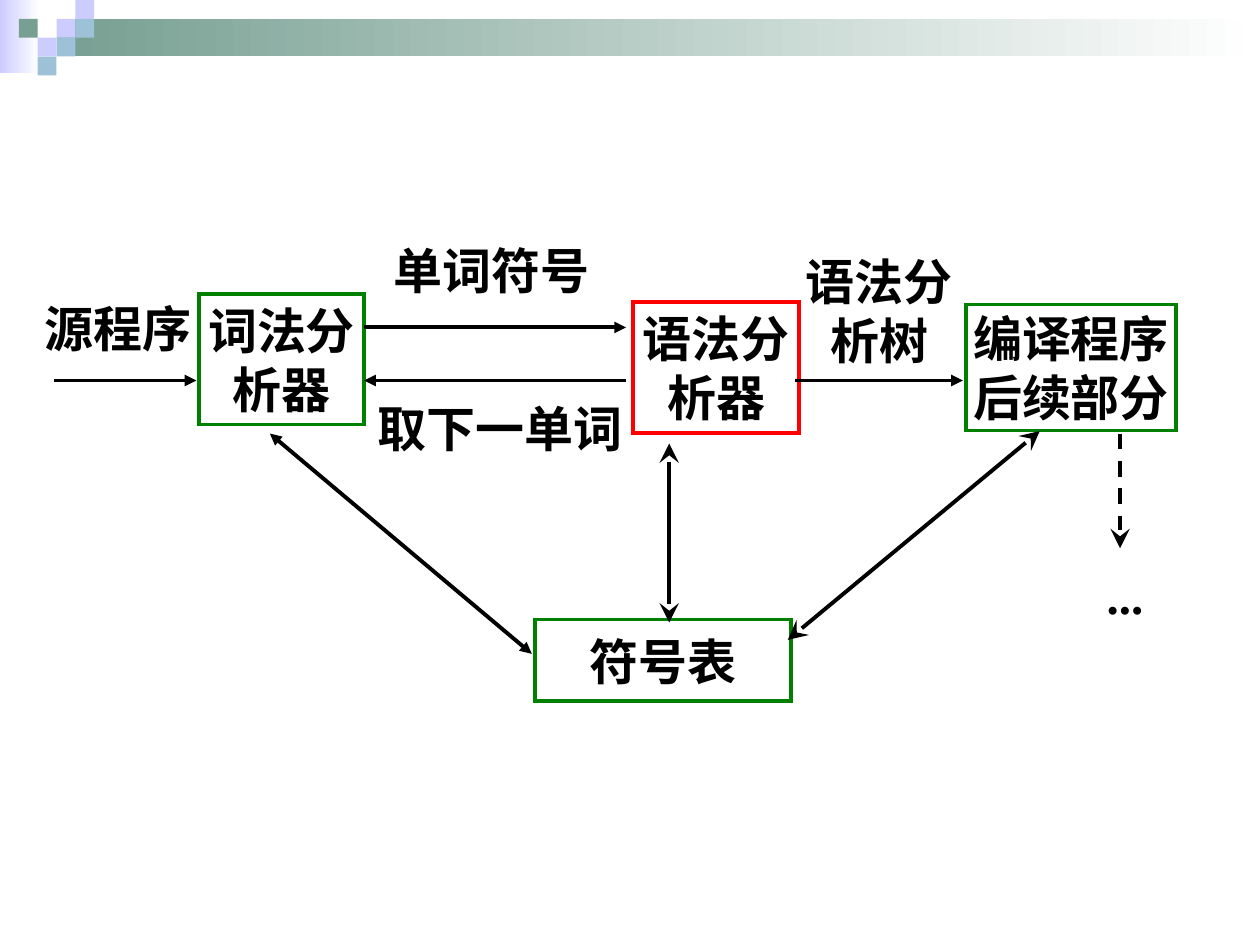
from lxml import etree
from pptx import Presentation
from pptx.dml.color import RGBColor
from pptx.enum import dml, shapes, text
from pptx.oxml.ns import qn
from pptx.util import Cm, Pt

HUES = {"ink": "000000", "green": "008000", "red": "FF0000", "white": "FFFFFF",
        "lilac": "CCCCFF", "sage": "779F92", "sky": "9DC2D7"}
FONT = "Times New Roman"

# Header: fading bars, then tiles as (column, row, colour)
BARS = [((0, 0, 0.79, 1.47), "lilac"), ((1.14, 0.38, 24.26, 0.76), "sage")]
TILE = 0.38
TILES = [(3, 1, "lilac"), (4, 0, "lilac"), (4, 1, "sky"), (2, 2, "lilac"),
         (1, 1, "sage"), (3, 2, "sky"), (2, 3, "sky")]

# Words and boxes: lines of text, (left, top, width, height) in cm
LABELS = [
    (["源程序"], (0.79, 5.77, 3.18, 1.7)),
    (["单词符号"], (7.8, 4.5, 4.2, 1.9)),
    (["取下一单词"], (7.52, 7.67, 5.13, 1.9)),
    (["语法分", "析树"], (16, 4.93, 3.45, 2.64)),
    (["..."], (21.51, 11.05, 2.34, 1.9)),
]
BOXES = [
    (["词法分", "析器"], (4.01, 5.92, 3.33, 2.64), "green"),
    (["语法分", "析器"], (12.77, 6.09, 3.33, 2.64), "red"),
    (["符号表"], (10.79, 12.49, 5.16, 1.65), "green"),
    (["编译程序", "后续部分"], (19.47, 6.14, 4.24, 2.54), "green"),
]

# Arrows: start, end, head kind, double-headed, dashed
ARROWS = [
    ((1.09, 7.67), (3.96, 7.67), "triangle", False, False),
    ((7.34, 6.6), (12.62, 6.6), "triangle", False, False),
    ((12.62, 7.67), (7.34, 7.67), "triangle", False, False),
    ((16.03, 7.67), (19.41, 7.67), "triangle", False, False),
    ((5.44, 8.74), (10.72, 13.18), "triangle", True, False),
    ((13.49, 8.94), (13.49, 12.55), "stealth", True, False),
    ((20.96, 8.69), (15.88, 12.9), "stealth", True, False),
    ((22.58, 8.74), (22.58, 11.05), "stealth", False, True),
]
HEADS = {"triangle": "med", "stealth": "lg"}

deck = Presentation()
deck.slide_width, deck.slide_height = Cm(25.4), Cm(19.05)
slide = deck.slides.add_slide(deck.slide_layouts[6])


def hue(name):
    return RGBColor.from_string(HUES[name])


def rect(place):
    shape = slide.shapes.add_shape(shapes.MSO_SHAPE.RECTANGLE, *map(Cm, place))
    shape.shadow.inherit = False
    shape.line.fill.background()
    return shape


def write(shape, lines, size=28, bold=True, color="ink"):
    frame = shape.text_frame
    frame.word_wrap = False
    frame.margin_left = frame.margin_right = 0
    frame.vertical_anchor = text.MSO_ANCHOR.MIDDLE
    frame.text = "\n".join(lines)
    for para in frame.paragraphs:
        para.alignment = text.PP_ALIGN.CENTER
        font = para.font
        font.name, font.size, font.bold = FONT, Pt(size), bold
        font.color.rgb = hue(color)


def ink(shape, color):
    shape.line.color.rgb = hue(color)
    shape.line.width = Pt(2.25)
    return shape.element.spPr.find(qn("a:ln"))


def arrow(start, end, kind, double, dashed):
    line = slide.shapes.add_connector(
        shapes.MSO_CONNECTOR.STRAIGHT, *map(Cm, start + end))
    stroke = ink(line, "ink")
    if dashed:
        line.line.dash_style = dml.MSO_LINE.DASH
    for tag in ["a:headEnd", "a:tailEnd"] if double else ["a:tailEnd"]:
        etree.SubElement(stroke, qn(tag), type=kind,
                         w=HEADS[kind], len=HEADS[kind])
    etree.SubElement(line.element.spPr, qn("a:effectLst"))


# Header
for place, color in BARS:
    fill = rect(place).fill
    fill.gradient()
    fill.gradient_angle = 0
    for stop, name, spot in zip(fill.gradient_stops, (color, "white"), (0, 1)):
        stop.color.rgb = hue(name)
        stop.position = spot
for col, row, color in TILES:
    tile = rect((col * TILE, row * TILE, TILE, TILE))
    tile.fill.solid()
    tile.fill.fore_color.rgb = hue(color)

# Diagram
for lines, place in LABELS:
    write(slide.shapes.add_textbox(*map(Cm, place)), lines)
for lines, place, color in BOXES:
    box = rect(place)
    box.fill.background()
    etree.SubElement(ink(box, color), qn("a:miter"), lim="800000")
    write(box, lines)
for item in ARROWS:
    arrow(*item)

deck.save("out.pptx")
